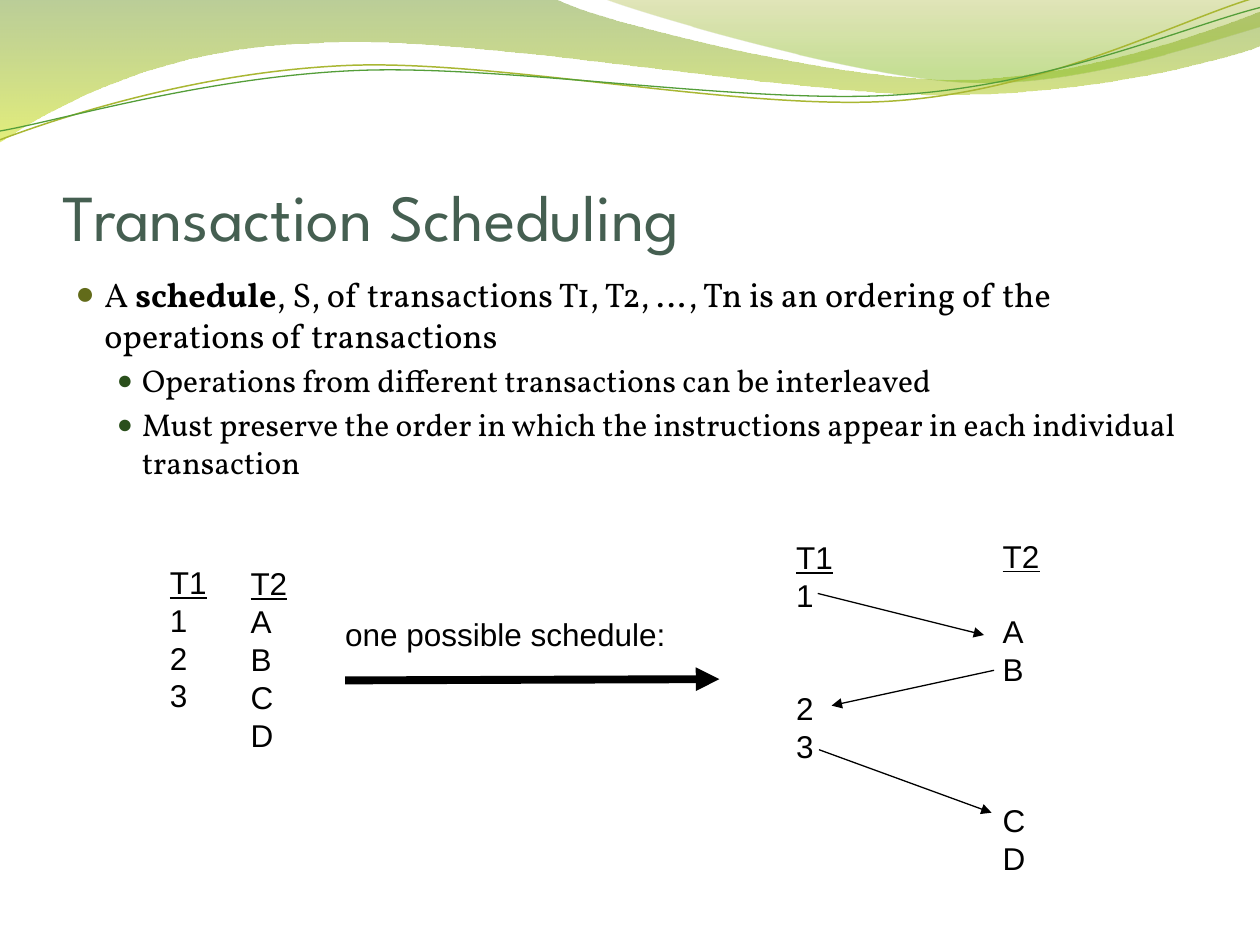
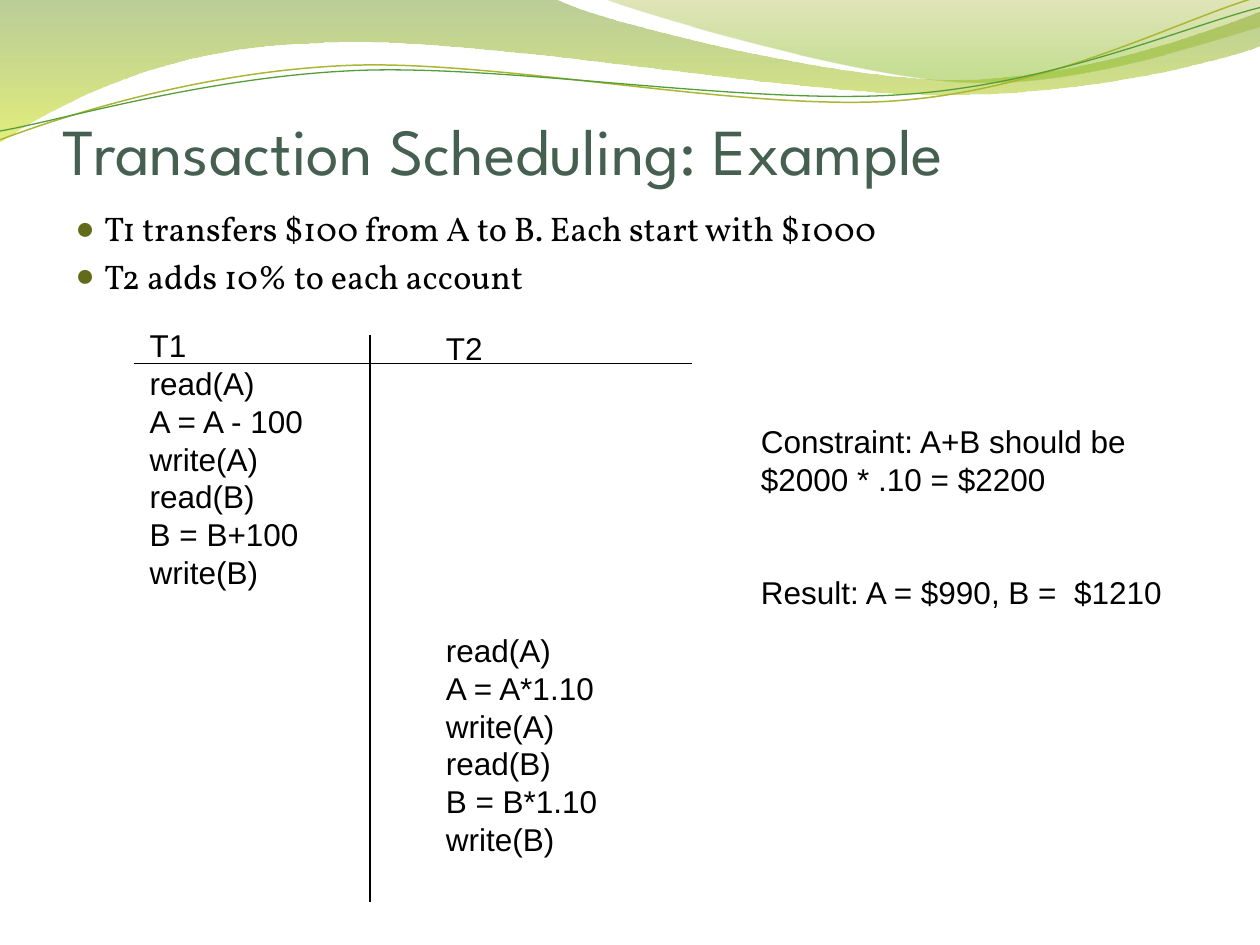
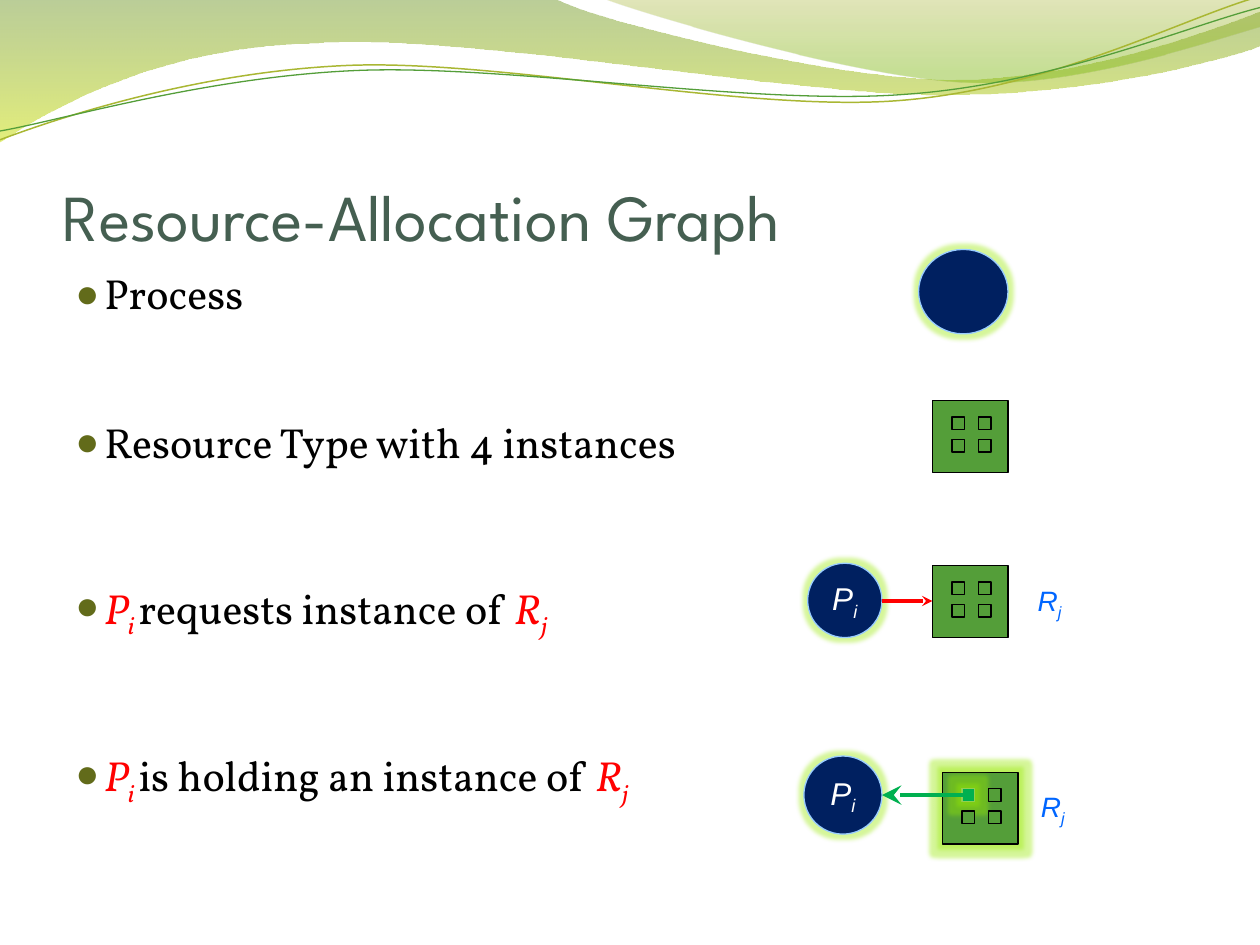
from dataclasses import dataclass
from typing import Optional

from lxml.etree import SubElement as Sub
from pptx import Presentation
from pptx.dml.color import RGBColor
from pptx.enum.shapes import MSO_CONNECTOR as Link, MSO_SHAPE as Form
from pptx.enum.text import MSO_ANCHOR as Anchor, MSO_AUTO_SIZE as Fit, PP_ALIGN as Align
from pptx.oxml.ns import qn
from pptx.util import Emu, Inches, Pt

# Grid: 100 columns by 75 rows
CELL = Inches(0.1)
COLS, ROWS = 100, 75
LEAD = 1.2  # height of one line, in text sizes
BLANK = 6  # index of the blank layout

HEAD, BODY, SANS = "League Spartan", "Vollkorn", "Arial"
BLACK = RGBColor(0x00, 0x00, 0x00)
WHITE = RGBColor(0xFF, 0xFF, 0xFF)
PINE = RGBColor(0x45, 0x5F, 0x51)
OLIVE = RGBColor(0x62, 0x6B, 0x1A)
MOSS = RGBColor(0x2A, 0x4F, 0x1C)
LEAF = RGBColor(0x54, 0x9E, 0x39)
LIME = RGBColor(0xA9, 0xB7, 0x33)
NAVY = RGBColor(0x00, 0x20, 0x60)
SKY = RGBColor(0x99, 0xCC, 0xFF)
BLUE = RGBColor(0x00, 0x66, 0xFF)
RED = RGBColor(0xFF, 0x00, 0x00)
GREEN = RGBColor(0x00, 0xB0, 0x50)
MINT = RGBColor(0x92, 0xD0, 0x50)
GLOW = RGBColor(0x98, 0xEA, 0x02)


@dataclass(frozen=True)
class Box:
    x: float
    y: float
    w: float
    h: float

    def emu(self) -> tuple:
        return tuple(cell(n) for n in (self.x, self.y, self.w, self.h))


@dataclass(frozen=True)
class Run:
    text: str
    color: RGBColor = BLACK
    bold: bool = False
    slant: bool = False
    under: bool = False
    sub: bool = False


@dataclass(frozen=True)
class Para:
    runs: tuple
    size: float = 18
    font: str = SANS
    gap: float = 0  # lines left free above
    level: Optional[int] = None
    pitch: float = 1
    align: Align = Align.LEFT


@dataclass(frozen=True)
class Bullet:
    left: float
    hang: float
    color: RGBColor
    share: int


@dataclass(frozen=True)
class Stop:
    place: float
    color: RGBColor
    alpha: int


@dataclass(frozen=True)
class Wave:
    start: tuple
    legs: tuple  # two numbers: straight; six numbers: curve
    stops: tuple = ()
    color: RGBColor = LEAF
    width: float = 0


@dataclass(frozen=True)
class Arrow:
    x1: float
    y1: float
    x2: float
    y2: float
    color: RGBColor = BLACK
    width: float = 0.75
    tip: str = "triangle"
    size: str = "med"


BULLETS = (Bullet(2.3, 2.3, OLIVE, 95), Bullet(5.3, 2, MOSS, 85))

WAVES = (
    Wave((0, 0), (
        (44, -0.1), (47.5, 1.7, 66.3, 6.3, 75.8, 6.3), (85.3, 6.3, 95.8, 2.6, 100, 0.9),
        (100.1, 3.6), (98.3, 4.4, 86.9, 7.6, 74.6, 7.5), (62.2, 7.5, 38.1, 2.8, 25.7, 3.4),
        (12.9, 3.6, 4.6, 8.3, -0.1, 11.3), (0, 0)),
        (Stop(0, RGBColor(0x69, 0x92, 0x1C), 45), Stop(1, RGBColor(0xCC, 0xE1, 0x0F), 55))),
    Wave((47.9, -0.1), (
        (50.9, 1.1, 68.2, 6.2, 76.8, 6.5), (85.5, 6.9, 96.1, 3.2, 100, 2.1), (100, 0),
        (47.9, -0.1)),
        (Stop(0, RGBColor(0x9B, 0xAA, 0x1A), 30), Stop(0.8, RGBColor(0x81, 0xBA, 0x16), 45))),
    Wave((0, 11.1), (
        (4.8, 9.3, 15.7, 5.7, 27.6, 5.2), (39.5, 4.7, 59.2, 8.9, 71.2, 8),
        (83.3, 7.1, 93.8, 1.5, 99.7, -0.2)), color=LIME, width=0.85),
    Wave((0, 10.4), (
        (4.7, 9.6, 16.3, 6.1, 28.3, 5.6), (40.2, 5.1, 59.7, 8.4, 71.7, 7.5),
        (83.6, 6.7, 94.1, 2.1, 100, 0.6)), width=0.75),
)


def cell(n: float) -> Emu:
    return Emu(round(n * CELL))


def bend(shape, wave: Wave) -> None:
    """Join each three straight steps of a curved leg into one Bézier curve."""
    steps = iter(list(shape.element.iter(qn("a:lnTo"))))
    for leg in wave.legs:
        first, *rest = (next(steps) for _ in range(len(leg) // 2))
        if rest:
            first.tag = qn("a:cubicBezTo")
        for step in rest:
            first.append(step[0])
            step.getparent().remove(step)


def wave_on(slide, wave: Wave):
    pen = slide.shapes.build_freeform(*(cell(n) for n in wave.start))
    spots = [(cell(x), cell(y)) for leg in wave.legs for x, y in zip(leg[::2], leg[1::2])]
    pen.add_line_segments(spots, close=bool(wave.stops))
    shape = pen.convert_to_shape()
    bend(shape, wave)
    shape.shadow.inherit = False
    if not wave.stops:
        shape.fill.background()
        shape.line.color.rgb = wave.color
        shape.line.width = Pt(wave.width)
        return shape
    shape.line.fill.background()
    shape.fill.gradient()
    shape.fill.gradient_angle = 270
    for stop, tone in zip(shape.fill.gradient_stops, wave.stops):
        stop.position = tone.place
        stop.color.rgb = tone.color
    tints = list(shape.element.spPr.iter(qn("a:srgbClr")))
    for tint, tone in zip(tints, wave.stops):
        Sub(tint, qn("a:alpha"), val=str(tone.alpha * 1000))
    return shape


def dress(deck) -> None:
    """Draw the waves once and hand them to the layout all slides share."""
    tree = deck.slide_layouts[BLANK].shapes.element
    for wave in WAVES:
        tree.append(wave_on(deck.slides[0], wave).element)


def mark(para, style: Bullet) -> None:
    props = para._p.get_or_add_pPr()
    props.set("marL", str(cell(style.left)))
    props.set("indent", str(-cell(style.hang)))
    Sub(Sub(props, qn("a:buClr")), qn("a:srgbClr"), val=str(style.color))
    Sub(props, qn("a:buSzPct"), val=str(style.share * 1000))
    Sub(props, qn("a:buFont"), typeface=SANS)
    Sub(props, qn("a:buChar"), char="●")


def write(frame, paras: tuple) -> None:
    for i, item in enumerate(paras):
        para = frame.add_paragraph() if i else frame.paragraphs[0]
        para.alignment = item.align
        para.line_spacing = item.pitch
        para.space_before = Pt(round(item.gap * item.size * LEAD, 1))
        if item.level is not None:
            mark(para, BULLETS[item.level])
        for part in item.runs:
            run = para.add_run()
            run.text = part.text
            font = run.font
            font.name, font.size = item.font, Pt(item.size)
            font.bold, font.italic, font.underline = part.bold, part.slant, part.under
            font.color.rgb = part.color
            if part.sub:
                run._r.get_or_add_rPr().set("baseline", "-25000")


def text_on(slide, box: Box, paras: tuple, wrap: bool = False, anchor: Anchor = Anchor.TOP):
    frame = slide.shapes.add_textbox(*box.emu()).text_frame
    frame.word_wrap = wrap
    frame.vertical_anchor = anchor
    write(frame, paras)
    return frame


def note_on(slide, box: Box, lines: tuple, under: bool = False) -> None:
    """Plain lines; a number in the list leaves that many lines free."""
    paras, gap = [], 0
    for line in lines:
        if isinstance(line, int):
            gap = line
            continue
        paras.append(Para((Run(line, under=under and not paras),), gap=gap))
        gap = 0
    text_on(slide, box, tuple(paras)).auto_size = Fit.SHAPE_TO_FIT_TEXT


def arrow_on(slide, arrow: Arrow) -> None:
    ends = (cell(n) for n in (arrow.x1, arrow.y1, arrow.x2, arrow.y2))
    link = slide.shapes.add_connector(Link.STRAIGHT, *ends)
    link.line.color.rgb = arrow.color
    link.line.width = Pt(arrow.width)
    if arrow.tip:
        Sub(link.line._get_or_add_ln(), qn("a:tailEnd"), type=arrow.tip, w=arrow.size, len=arrow.size)
    Sub(link.element.spPr, qn("a:effectLst"))


def shape_on(slide, form: Form, box: Box, fill: RGBColor, edge: RGBColor, glow: bool = False):
    shape = slide.shapes.add_shape(form, *box.emu())
    shape.shadow.inherit = False
    shape.fill.solid()
    shape.fill.fore_color.rgb = fill
    shape.line.color.rgb = edge
    shape.line.width = Pt(0.75)
    if glow:
        effects = shape.element.spPr.find(qn("a:effectLst"))
        halo = Sub(effects, qn("a:glow"), rad=str(Pt(5)))
        Sub(Sub(halo, qn("a:srgbClr"), val=str(GLOW)), qn("a:alpha"), val="40000")
    return shape


def pair(name: str, index: str, color: RGBColor) -> tuple:
    return Run(name, color, slant=True), Run(index, color, slant=True, sub=True)


def proc_on(slide, box: Box, named: bool = True) -> None:
    shape = shape_on(slide, Form.OVAL, box, NAVY, SKY, glow=True)
    if named:
        frame = shape.text_frame
        frame.word_wrap = False
        frame.vertical_anchor = Anchor.MIDDLE
        write(frame, (Para(pair("P", "i", WHITE), align=Align.CENTER),))


def pool_on(slide, x: float, y: float, held: bool = False) -> None:
    """A resource type with two by two instances."""
    shape_on(slide, Form.RECTANGLE, Box(x, y, 6, 5.7), LEAF, BLACK, held)
    for i in range(4):
        row, col = divmod(i, 2)
        dot = Box(x + 1.55 + 2.1 * col, y + 1.3 + 1.77 * row, 1, 1)
        if held and i == 0:
            shape_on(slide, Form.RECTANGLE, dot, GREEN, MINT, glow=True)
        else:
            shape_on(slide, Form.RECTANGLE, dot, LEAF, BLACK)


def label_on(slide, box: Box) -> None:
    para = Para(pair("R", "j", BLUE), size=16, gap=0.5, align=Align.CENTER)
    text_on(slide, box, (para,), anchor=Anchor.MIDDLE)


def point(*runs: Run, size: float = 19.5, gap: float = 0.16, level: int = 0, pitch: float = 1) -> Para:
    return Para(runs, size, BODY, gap, level, pitch)


def page(deck, title: str, paras: tuple, top: float = 7.7):
    """A slide with title and bullet text."""
    slide = deck.slides.add_slide(deck.slide_layouts[BLANK])
    head = Para((Run(title, PINE),), 37.5, HEAD)
    frame = text_on(slide, Box(5, top, 90, 12.5), (head,), True, Anchor.BOTTOM)
    frame.margin_left = frame.margin_right = frame.margin_bottom = 0
    text_on(slide, Box(5, top + 13.5, 90, 48), paras, True)
    return slide


def order(deck) -> None:
    slide = page(deck, "Transaction Scheduling", (
        point(Run("A "), Run("schedule", bold=True),
              Run(", S, of transactions T1, T2, …, Tn is an ordering of the operations of transactions")),
        point(Run("Operations from different transactions can be interleaved"), size=18, level=1),
        point(Run("Must preserve the order in which the instructions appear in each individual transaction"),
              size=18, level=1)))
    # Operations before and after scheduling
    for box, lines in (
        (Box(12.5, 44.2, 4.9, 13), ("T1", "1", "2", "3")),
        (Box(18.9, 44.3, 4.9, 16), ("T2", "A", "B", "C", "D")),
        (Box(62.2, 42.2, 4.9, 19), ("T1", "1", 2, "2", "3")),
        (Box(78.6, 42.1, 4.9, 28), ("T2", 1, "A", "B", 3, "C", "D")),
    ):
        note_on(slide, box, lines, under=True)
    for arrow in (
        Arrow(64.9, 47.1, 78.1, 50.4),
        Arrow(78.9, 53.2, 66, 56),
        Arrow(65, 59.5, 78.7, 64.5),
        Arrow(27.4, 54, 57.1, 53.9, width=4.5),
    ):
        arrow_on(slide, arrow)
    note_on(slide, Box(26.4, 48.3, 27.4, 4), ("one possible schedule:",))


def example(deck) -> None:
    slide = page(deck, "Transaction Scheduling: Example", (
        point(Run("T1 transfers $100 from A to B. Each start with $1000")),
        point(Run("T2 adds 10% to each account"))), top=2.5)
    note_on(slide, Box(59.4, 33, 34.8, 16.2), (
        "Constraint: A+B should be", "$2000 * .10 = $2200", 2, "Result: A = $990, B =  $1210"))
    # Both transactions, step by step
    note_on(slide, Box(10.9, 25.4, 14.3, 22.2), (
        "T1", "read(A)", "A = A - 100", "write(A)", "read(B)", "B = B+100", "write(B)"))
    note_on(slide, Box(34.4, 25.6, 14.1, 43.4), (
        "T2", 7, "read(A)", "A = A*1.10", "write(A)", "read(B)", "B = B*1.10", "write(B)"))
    arrow_on(slide, Arrow(10.6, 28.83, 54.9, 28.83, tip=""))
    arrow_on(slide, Arrow(29.36, 26.6, 29.36, 71.6, tip=""))


def graph(deck) -> None:
    def entry(gap: float, *runs: Run) -> Para:
        return point(*runs, size=24, gap=gap, pitch=0.9)

    asker, owned = pair("P", "i ", RED), pair("R", "j", RED)
    slide = page(deck, "Resource-Allocation Graph", (
        entry(0.16, Run("Process")),
        entry(2.05, Run("Resource Type with 4 instances")),
        entry(2.3, *asker, Run("requests instance of "), *owned),
        entry(2.3, *asker, Run("is holding an instance of "), *owned)))
    # Symbols, one row per entry
    proc_on(slide, Box(72.9, 19.8, 7.1, 6.7), named=False)
    pool_on(slide, 74, 31.8)
    proc_on(slide, Box(64.1, 44.7, 5.9, 5.9))
    pool_on(slide, 74, 44.9)
    label_on(slide, Box(80, 44.8, 6.6, 6))
    arrow_on(slide, Arrow(70, 47.7, 74, 47.7, RED, 2, "stealth"))
    pool_on(slide, 74.8, 61.3, held=True)
    proc_on(slide, Box(63.8, 60, 6.2, 6.2))
    label_on(slide, Box(80.4, 61.3, 6.3, 5.7))
    arrow_on(slide, Arrow(76.4, 63.1, 70, 63.1, GREEN, 2.25, "stealth", "lg"))


def main() -> None:
    deck = Presentation()
    deck.slide_width, deck.slide_height = cell(COLS), cell(ROWS)
    for build in (order, example, graph):
        build(deck)
    dress(deck)
    deck.save("out.pptx")


if __name__ == "__main__":
    main()
